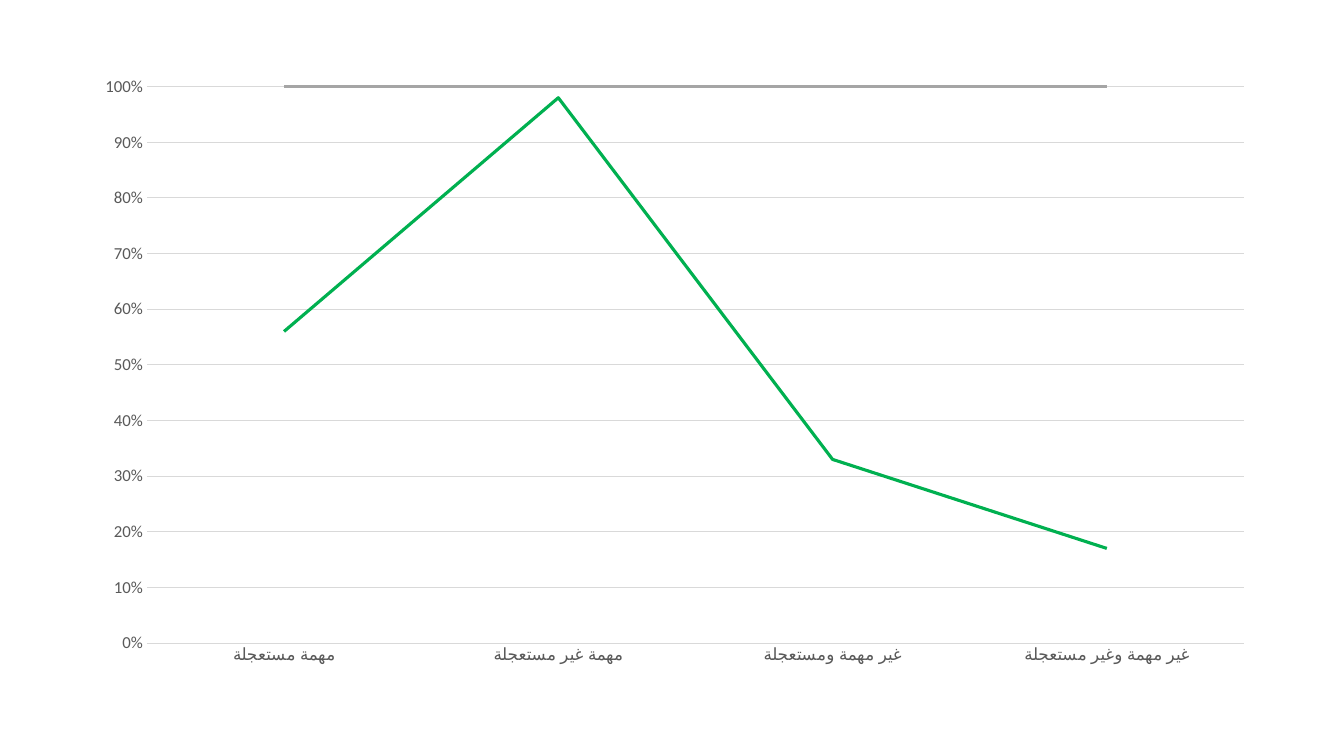
"""Build a slide with a line chart of tasks by importance and urgency."""
import dataclasses

import lxml.etree
import pptx
import pptx.chart.data
import pptx.dml.color
import pptx.enum.chart
import pptx.util


@dataclasses.dataclass(frozen=True)
class Theme:
    """Colours, fonts and sizes of the slide."""
    text: str = "595959"
    grid: str = "D9D9D9"
    base: str = "000000"
    series: tuple = ("00B050", "A5A5A5")
    latin_font: str = "Calibri"
    label_font: str = "Arial"
    base_size: float = 10
    axis_size: float = 12
    grid_width: float = 0.75
    series_width: float = 2.25


class SlideBuilder:
    """Hold the theme and the current slide, and add elements to it."""

    def __init__(self, slide, theme):
        """Keep the slide and its theme."""
        self.slide = slide
        self.theme = theme

    def set_font(self, font, name, size, color):
        """Format a chart font."""
        for key, value in {"name": name, "size": pptx.util.Pt(size), "bold": False}.items():
            setattr(font, key, value)
        font.color.rgb = pptx.dml.color.RGBColor.from_string(color)

    def set_line(self, line, color, width):
        """Format a chart line."""
        line.color.rgb = pptx.dml.color.RGBColor.from_string(color)
        line.width = pptx.util.Pt(width)

    def set_axis(self, axis, font_name, settings):
        """Format an axis and its labels."""
        tick_mark = pptx.enum.chart.XL_TICK_MARK.NONE
        settings = {"major_tick_mark": tick_mark, "minor_tick_mark": tick_mark, **settings}
        for key, value in settings.items():
            setattr(axis, key, value)
        self.set_font(axis.tick_labels.font, font_name, self.theme.axis_size, self.theme.text)

    def set_plot_layout(self, chart, bounds):
        """Place the inner plot area by fractions of the chart."""
        plot_area = chart.element.chart.plotArea
        namespace = "{%s}" % plot_area.nsmap["c"]
        for layout in plot_area.findall(namespace + "layout"):
            plot_area.remove(layout)
        layout = lxml.etree.Element(namespace + "layout")
        manual = lxml.etree.SubElement(layout, namespace + "manualLayout")
        settings = {"layoutTarget": "inner", "xMode": "edge", "yMode": "edge"}
        settings.update(zip("xywh", map(str, bounds)))
        for key, value in settings.items():
            lxml.etree.SubElement(manual, namespace + key, val=value)
        plot_area.insert(0, layout)

    def add_line_chart(self, bounds, plot_bounds, categories, series_values):
        """Add a line chart stacked to one hundred percent."""
        theme = self.theme
        chart_data = pptx.chart.data.CategoryChartData()
        chart_data.categories = categories
        for name, values in series_values.items():
            chart_data.add_series(name, values)
        chart = self.slide.shapes.add_chart(
            pptx.enum.chart.XL_CHART_TYPE.LINE_STACKED_100,
            *map(pptx.util.Inches, bounds), chart_data).chart
        chart.has_legend = False
        chart.has_title = False
        self.set_font(chart.font, theme.latin_font, theme.base_size, theme.base)
        self.set_plot_layout(chart, plot_bounds)
        chart.plots[0].vary_by_categories = False
        for series, color in zip(chart.plots[0].series, theme.series):
            series.smooth = False
            self.set_line(series.format.line, color, theme.series_width)

        self.set_axis(chart.category_axis, theme.label_font, {"has_major_gridlines": False})
        self.set_line(chart.category_axis.format.line, theme.grid, theme.grid_width)
        value_axis = chart.value_axis
        self.set_axis(value_axis, theme.latin_font, {
            "has_major_gridlines": True, "minimum_scale": 0,
            "maximum_scale": 1, "major_unit": 0.1})
        value_axis.format.line.fill.background()
        value_axis.tick_labels.number_format = "0%"
        value_axis.tick_labels.number_format_is_linked = False
        self.set_line(value_axis.major_gridlines.format.line, theme.grid, theme.grid_width)


def main():
    """Build and save the presentation."""
    presentation = pptx.Presentation()
    presentation.slide_width = pptx.util.Inches(13.33)
    presentation.slide_height = pptx.util.Inches(7.5)
    slide = presentation.slides.add_slide(presentation.slide_layouts[6])
    shares = (56, 98, 33, 17)
    SlideBuilder(slide, Theme()).add_line_chart(
        bounds=(0.84, 0.44, 11.65, 6.36),
        plot_bounds=(0.053, 0.066, 0.934, 0.868),
        categories=("مهمة مستعجلة", "مهمة غير مستعجلة",
                    "غير مهمة ومستعجلة", "غير مهمة وغير مستعجلة"),
        series_values={"Series 1": shares,
                       "Series 2": [100 - share for share in shares]})
    presentation.save("out.pptx")


if __name__ == "__main__":
    main()
